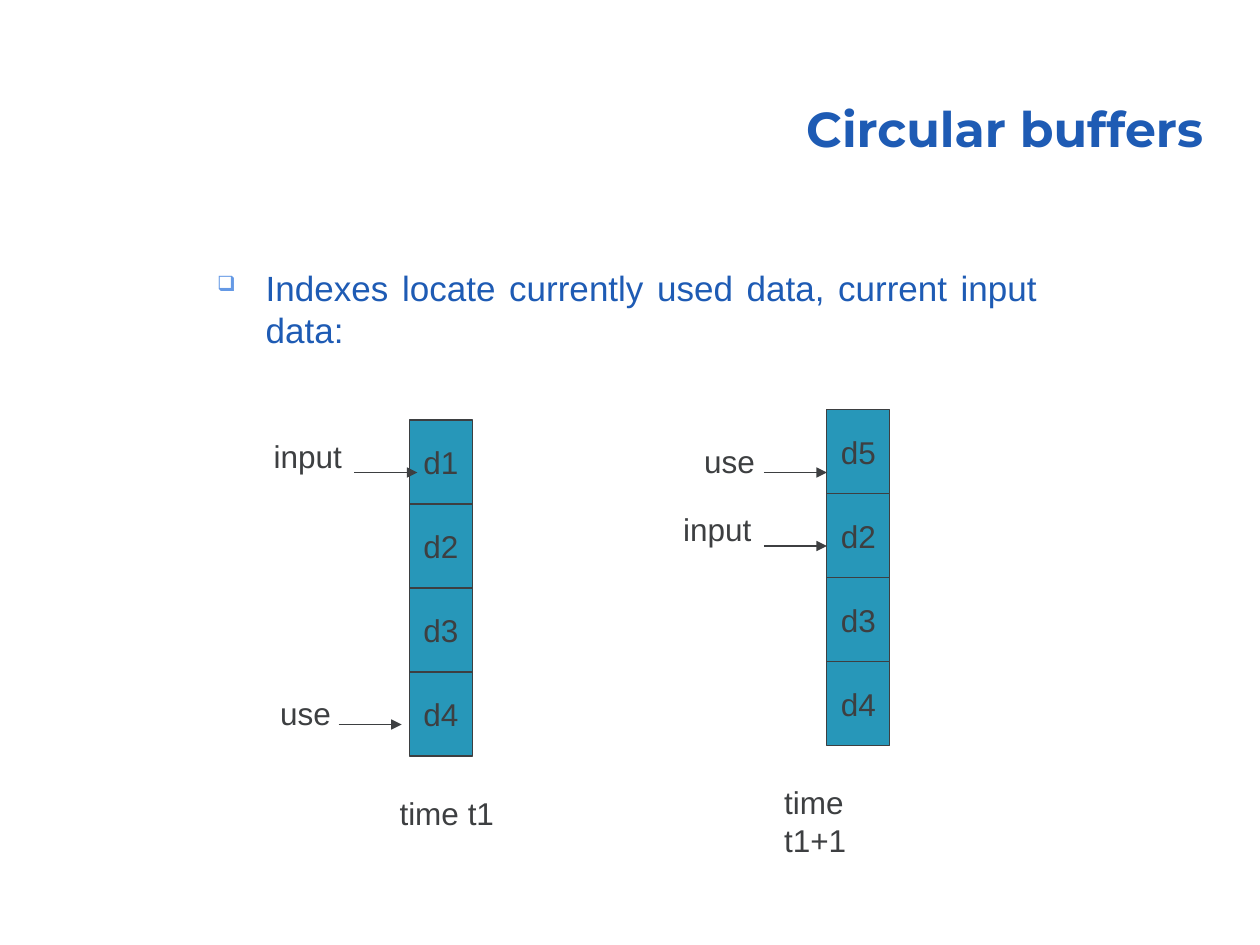
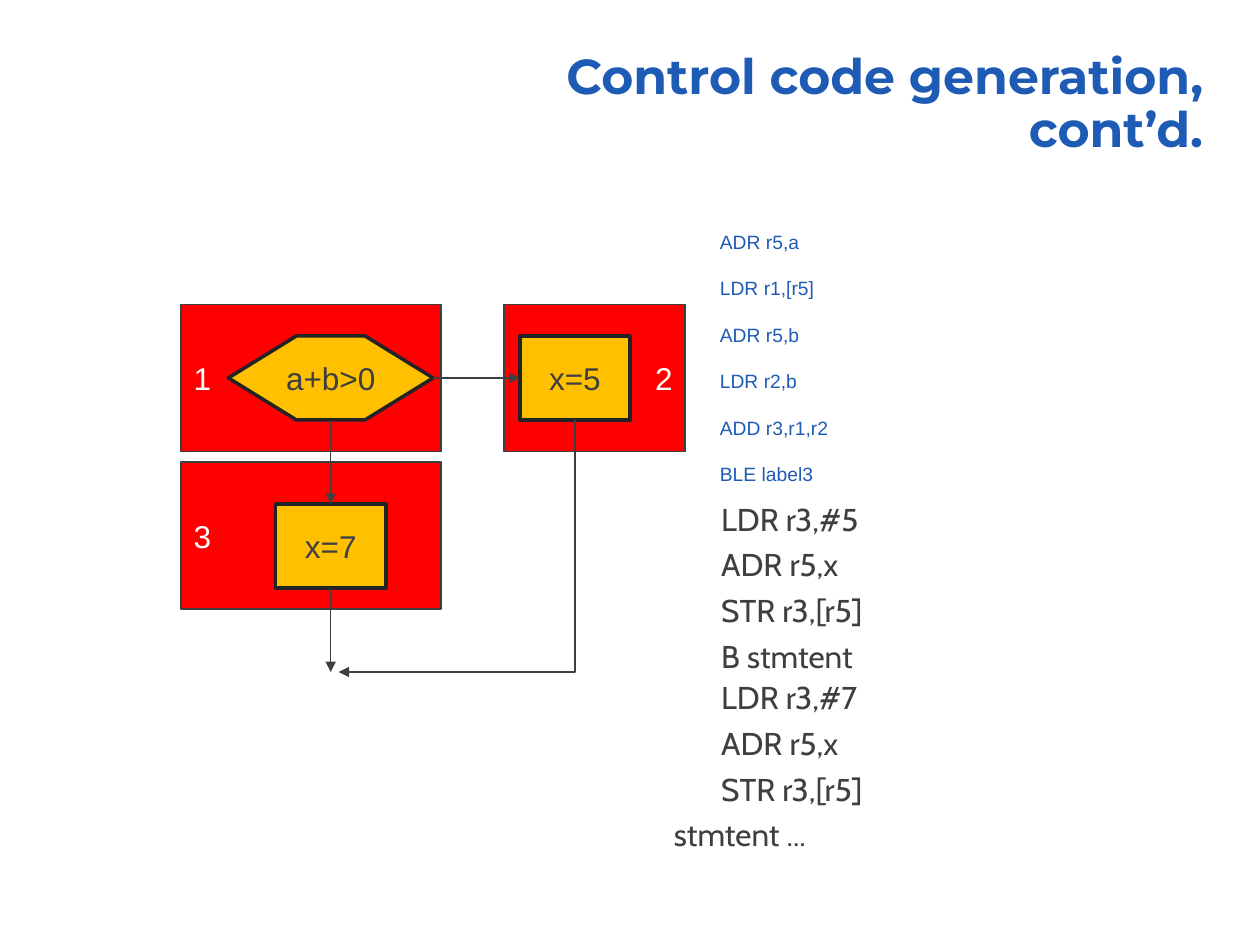
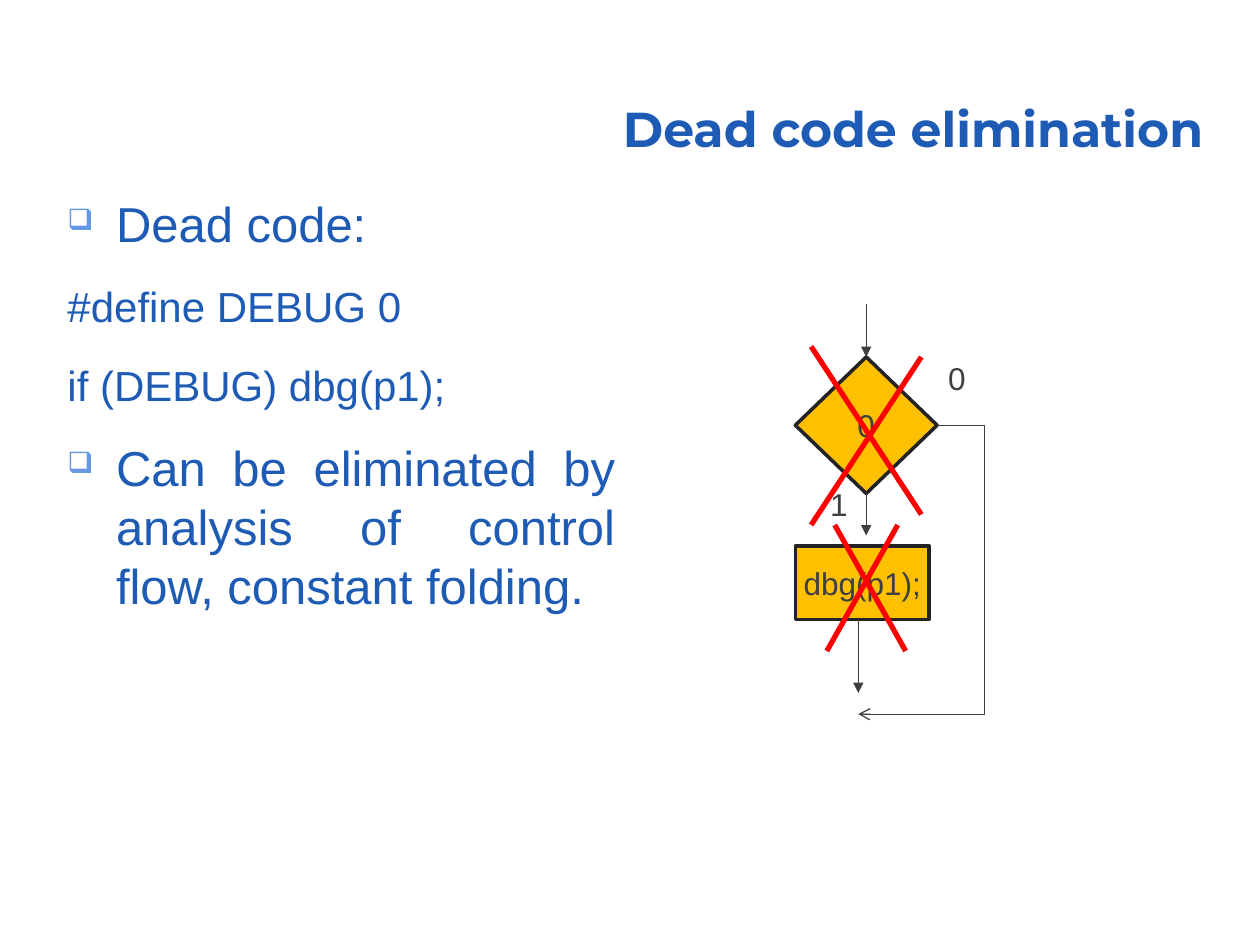
"""Build three slides on embedded program design and compilation."""

from dataclasses import dataclass
from typing import Optional

from lxml.etree import SubElement
from pptx import Presentation
from pptx.dml.color import RGBColor
from pptx.enum.shapes import MSO_CONNECTOR, MSO_SHAPE
from pptx.enum.text import MSO_ANCHOR, MSO_AUTO_SIZE, PP_ALIGN
from pptx.oxml.ns import qn
from pptx.util import Emu, Pt

EMU_PER_PX = 9525


@dataclass(frozen=True)
class Theme:
    title_font: str = "Montserrat"
    body_font: str = "Arial"
    code_font: str = "Cabin"
    blue: str = "1E5BB4"
    bullet: str = "6599E5"
    ink: str = "3D3F41"
    outline: str = "232325"
    teal: str = "2797B9"
    amber: str = "FFC000"
    red: str = "FF0000"
    white: str = "FFFFFF"
    title_size: int = 28
    large_size: int = 28
    medium_size: int = 24
    body_size: int = 20
    label_size: int = 18
    listing_size: int = 11
    thin: float = 0.75
    thick: float = 2
    cross: float = 3


THEME = Theme()


@dataclass(frozen=True)
class Area:
    left: int
    top: int
    width: int
    height: int


@dataclass(frozen=True)
class Node:
    text: str
    area: Area
    fill: str
    line: str = THEME.ink
    weight: float = THEME.thin
    color: str = THEME.ink
    align: PP_ALIGN = PP_ALIGN.CENTER
    shape: MSO_SHAPE = MSO_SHAPE.RECTANGLE


@dataclass(frozen=True)
class Label:
    text: str
    left: int
    top: int
    width: int


@dataclass(frozen=True)
class Line:
    begin: tuple[int, int]
    end: tuple[int, int]
    head: Optional[str] = "triangle"
    color: str = THEME.ink
    weight: float = THEME.thin


@dataclass(frozen=True)
class Elbow(Line):
    preset: str = "bentConnector2"
    quarter_turns: int = 0
    adjustments: tuple[int, ...] = ()


@dataclass(frozen=True)
class Buffer:
    cells: tuple[str, ...]
    left: int
    top: int
    caption: Label
    pointers: tuple[tuple[Label, Line], ...]


def px(length: int) -> Emu:
    """Turn pixels into EMU."""
    return Emu(length * EMU_PER_PX)


def frame(area: Area) -> tuple[Emu, Emu, Emu, Emu]:
    """Return an area as EMU lengths."""
    return px(area.left), px(area.top), px(area.width), px(area.height)


def rgb(color: str) -> RGBColor:
    """Turn a hex string into a colour."""
    return RGBColor.from_string(color)


def add_bullet(properties) -> None:
    """Give paragraph properties the hollow square bullet."""
    color = SubElement(properties, qn("a:buClr"))
    SubElement(color, qn("a:srgbClr"), val=THEME.bullet)
    SubElement(properties, qn("a:buSzPct"), val="60000")
    SubElement(properties, qn("a:buChar"), char="❑")


def write(text_frame, text: str, *, size: float = THEME.label_size,
          font: str = THEME.body_font, color: str = THEME.ink, bold: bool = False,
          align: PP_ALIGN = PP_ALIGN.LEFT, spacing: Optional[float] = None,
          before: float = 0, margin: int = 0, hanging: int = 0,
          bullet: bool = False) -> None:
    """Write one formatted paragraph after any text already in the frame."""
    first = not text_frame.text
    para = text_frame.paragraphs[0] if first else text_frame.add_paragraph()
    para.alignment = align
    if spacing:
        para.line_spacing = spacing
    para.space_before = Pt(0 if first else before)
    properties = para._p.get_or_add_pPr()
    properties.set("marL", str(px(margin)))
    properties.set("indent", str(px(-hanging)))
    if bullet:
        add_bullet(properties)
    span = para.add_run()
    span.text = text
    span.font.size = Pt(size)
    span.font.name = font
    span.font.bold = bold
    span.font.color.rgb = rgb(color)


def add_text_box(page, area: Area, anchor: MSO_ANCHOR = MSO_ANCHOR.TOP):
    """Add a wrapping text box and return its text frame."""
    text_frame = page.shapes.add_textbox(*frame(area)).text_frame
    text_frame.word_wrap = True
    text_frame.vertical_anchor = anchor
    return text_frame


def add_page(deck, title: str):
    """Add a blank slide with the shared title."""
    page = deck.slides.add_slide(deck.slide_layouts[6])
    title_frame = add_text_box(page, Area(282, 51, 644, 74), MSO_ANCHOR.BOTTOM)
    write(title_frame, title, size=THEME.title_size, font=THEME.title_font,
          color=THEME.blue, bold=True, align=PP_ALIGN.RIGHT, spacing=0.9)
    return page


def add_body_text(text_frame, text: str, size: float, bullet: bool = True) -> None:
    """Write one blue body paragraph."""
    indent = 37 if bullet else 0
    write(text_frame, text, size=size, color=THEME.blue, align=PP_ALIGN.JUSTIFY,
          before=16, margin=indent, hanging=indent, bullet=bullet)


def draw_node(page, node: Node):
    """Draw a filled shape with its text."""
    box = page.shapes.add_shape(node.shape, *frame(node.area))
    box.shadow.inherit = False
    box.fill.solid()
    box.fill.fore_color.rgb = rgb(node.fill)
    box.line.color.rgb = rgb(node.line)
    box.line.width = Pt(node.weight)
    box.text_frame.word_wrap = False
    box.text_frame.vertical_anchor = MSO_ANCHOR.MIDDLE
    write(box.text_frame, node.text, color=node.color, align=node.align)
    return box


def draw_label(page, label: Label) -> None:
    """Draw a one-line label that fits its text."""
    text_frame = add_text_box(page, Area(label.left, label.top, label.width, 38))
    text_frame.word_wrap = False
    text_frame.auto_size = MSO_AUTO_SIZE.SHAPE_TO_FIT_TEXT
    write(text_frame, label.text)


def draw_line(shapes, line: Line) -> None:
    """Draw a straight or bent connector with an optional arrowhead."""
    kind = MSO_CONNECTOR.ELBOW if isinstance(line, Elbow) else MSO_CONNECTOR.STRAIGHT
    connector = shapes.add_connector(kind, *map(px, line.begin + line.end))
    connector.line.color.rgb = rgb(line.color)
    connector.line.width = Pt(line.weight)
    properties = connector.element.spPr
    if line.head:
        SubElement(properties.find(qn("a:ln")), qn("a:tailEnd"), type=line.head)
    SubElement(properties, qn("a:effectLst"))
    if isinstance(line, Elbow):
        bend(properties, line)


def bend(properties, elbow: Elbow) -> None:
    """Set the bend preset, turn and adjustments of a connector."""
    properties.find(qn("a:xfrm")).set("rot", str(elbow.quarter_turns * 5400000))
    geometry = properties.find(qn("a:prstGeom"))
    geometry.set("prst", elbow.preset)
    guides = geometry.find(qn("a:avLst"))
    for number, value in enumerate(elbow.adjustments, 1):
        SubElement(guides, qn("a:gd"), name=f"adj{number}", fmla=f"val {value}")


def draw_cross(page, *strokes: tuple[tuple[int, int], tuple[int, int]]) -> None:
    """Draw grouped red strokes that cross something out."""
    group = page.shapes.add_group_shape()
    for begin, end in strokes:
        draw_line(group.shapes, Line(begin, end, None, THEME.red, THEME.cross))


def draw_buffer(page, buffer: Buffer) -> None:
    """Draw a column of cells with its caption and pointers."""
    for row, text in enumerate(buffer.cells):
        area = Area(buffer.left, buffer.top + 64 * row, 48, 64)
        draw_node(page, Node(text, area, THEME.teal))
    draw_label(page, buffer.caption)
    for label, line in buffer.pointers:
        draw_label(page, label)
        draw_line(page.shapes, line)


def pointer(text: str, left: int, top: int, width: int, tail: int, level: int):
    """Pair a label with its short arrow to the right."""
    return Label(text, left, top, width), Line((tail, level), (tail + 48, level))


def step(text: str, area: Area, shape: MSO_SHAPE = MSO_SHAPE.RECTANGLE) -> Node:
    """Describe an amber flowchart step."""
    return Node(text, area, THEME.amber, THEME.outline, THEME.thick, shape=shape)


def block(text: str, area: Area, align: PP_ALIGN = PP_ALIGN.LEFT) -> Node:
    """Describe a numbered red code block."""
    return Node(text, area, THEME.red, color=THEME.white, align=align)


def build_circular_buffers(deck) -> None:
    """Build the slide on circular buffers."""
    page = add_page(deck, "Circular buffers")
    body = add_text_box(page, Area(156, 198, 644, 122))
    add_body_text(body, "Indexes locate currently used data, current input data:",
                  THEME.body_size)
    buffers = (
        Buffer(("d1", "d2", "d3", "d4"), 312, 320, Label("time t1", 295, 600, 91),
               (pointer("use", 204, 524, 58, 258, 552),
                pointer("input", 199, 328, 71, 270, 360))),
        Buffer(("d5", "d2", "d3", "d4"), 630, 312, Label("time t1+1", 588, 592, 118),
               (pointer("use", 527, 332, 58, 582, 360),
                pointer("input", 511, 384, 71, 582, 416))),
    )
    for buffer in buffers:
        draw_buffer(page, buffer)


def build_control_code(deck) -> None:
    """Build the slide on control code generation."""
    page = add_page(deck, "Control code generation, cont’d.")
    nodes = (
        block("3", Area(138, 352, 198, 112)),
        block("2", Area(384, 232, 138, 112), PP_ALIGN.RIGHT),
        block("1", Area(138, 232, 198, 112)),
        step("x=5", Area(396, 256, 84, 64)),
        step("x=7", Area(210, 384, 84, 64)),
    )
    for node in nodes:
        draw_node(page, node)
    condition = step("a+b>0", Area(174, 256, 156, 64), MSO_SHAPE.HEXAGON)
    draw_node(page, condition).adjustments[0] = 0.81
    arrows = (
        Line((330, 288), (396, 288)),
        Line((252, 320), (252, 384)),
        Line((252, 448), (252, 512)),
        Elbow((252, 326), (444, 506), quarter_turns=1),
    )
    for arrow in arrows:
        draw_line(page.shapes, arrow)

    listing = add_text_box(page, Area(502, 174, 316, 210))
    for text in ("ADR r5,a", "LDR r1,[r5]", "ADR r5,b", "LDR r2,b",
                 "ADD r3,r1,r2", "BLE label3"):
        write(listing, text, size=THEME.listing_size, color=THEME.blue,
              align=PP_ALIGN.JUSTIFY, spacing=0.8, before=16, margin=37)
    branches = (
        (376, ("LDR r3,#5", "ADR r5,x", "STR r3,[r5]", "B stmtent")),
        (512, ("LDR r3,#7", "ADR r5,x", "STR r3,[r5]", "stmtent ...")),
    )
    for top, lines in branches:
        branch = add_text_box(page, Area(504, top, 316, 144))
        for text in lines:
            margin = 0 if text.startswith("stmtent") else 36
            write(branch, text, font=THEME.code_font, before=4.5, margin=margin)


def build_dead_code(deck) -> None:
    """Build the slide on dead code elimination."""
    page = add_page(deck, "Dead code elimination")
    body = add_text_box(page, Area(42, 143, 436, 545))
    add_body_text(body, "Dead code:", THEME.large_size)
    for text in ("#define DEBUG 0", "if (DEBUG) dbg(p1);"):
        add_body_text(body, text, THEME.medium_size, bullet=False)
    add_body_text(body, "Can be eliminated by analysis of control flow, "
                  "constant folding.", THEME.large_size)

    draw_node(page, step("0", Area(606, 272, 108, 104), MSO_SHAPE.DIAMOND))
    draw_node(page, step("dbg(p1);", Area(606, 416, 102, 56)))
    arrows = (
        Line((660, 376), (660, 408)),
        Line((660, 232), (660, 272)),
        Line((654, 472), (654, 528)),
        Elbow((714, 324), (654, 544), "arrow", preset="bentConnector4",
              adjustments=(-60200, 100100)),
    )
    for arrow in arrows:
        draw_line(page.shapes, arrow)
    draw_label(page, Label("1", 623, 365, 33))
    draw_label(page, Label("0", 713, 269, 33))
    draw_cross(page, ((630, 496), (684, 400)), ((690, 496), (636, 400)))
    draw_cross(page, ((618, 400), (702, 272)), ((702, 392), (618, 264)))


def main() -> None:
    """Build and save the deck."""
    deck = Presentation()
    deck.slide_width, deck.slide_height = px(960), px(720)
    build_circular_buffers(deck)
    build_control_code(deck)
    build_dead_code(deck)
    deck.save("out.pptx")


if __name__ == "__main__":
    main()
